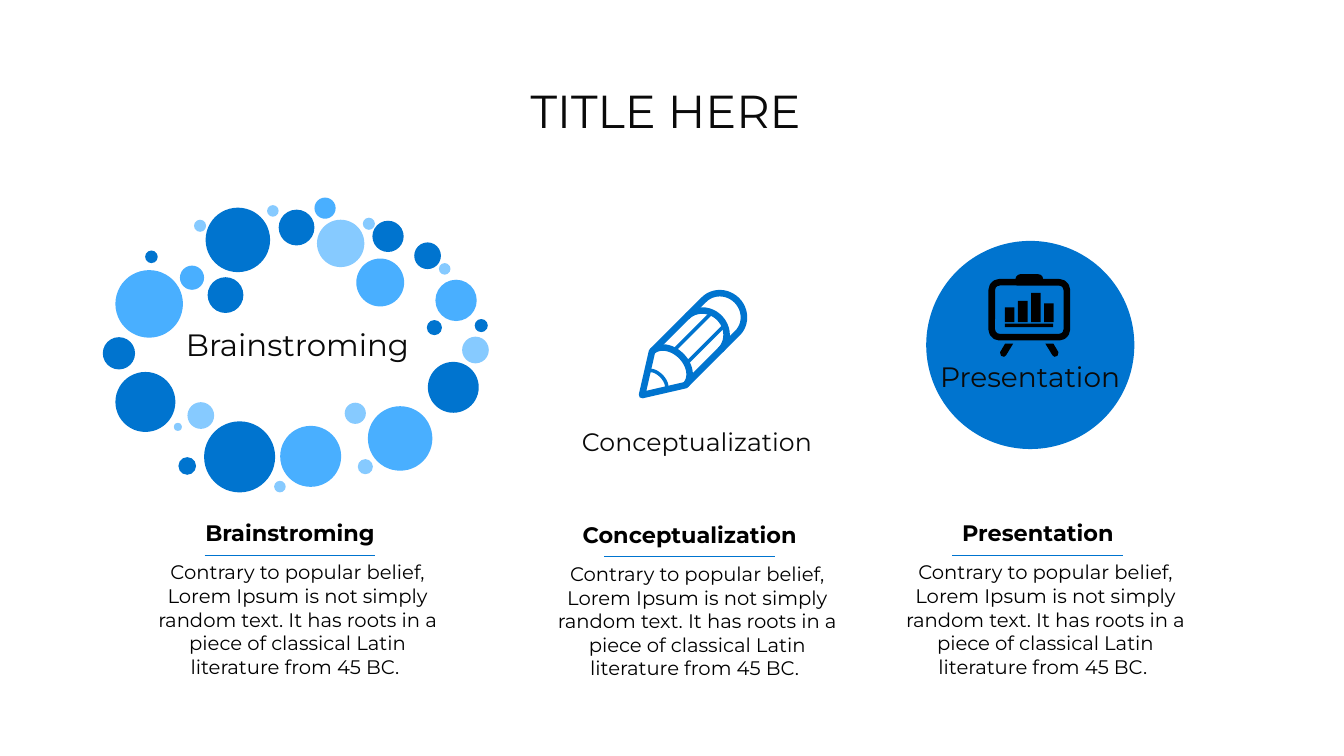
from math import cos, pi, sin, sqrt
from lxml.etree import SubElement
from pptx import Presentation
from pptx.dml.color import RGBColor
from pptx.enum.shapes import MSO_CONNECTOR, MSO_SHAPE
from pptx.enum.text import MSO_ANCHOR, MSO_AUTO_SIZE, PP_ALIGN
from pptx.oxml.ns import qn
from pptx.util import Pt

PX = 9144  # 100 px to the inch
FONT = "Montserrat"
BLUE = RGBColor(0x00, 0x74, 0xCF)
SKY = RGBColor(0x49, 0xAF, 0xFF)
PALE = RGBColor(0x86, 0xCA, 0xFF)
BLACK = RGBColor(0, 0, 0)
INK = RGBColor(0x0A, 0x0A, 0x0A)

BODY = ("Contrary to popular belief, Lorem Ipsum is not simply random text. "
        "It has roots in a piece of classical Latin literature from 45 BC. ")
COLUMNS = [("Brainstroming", 284, 1107), ("Conceptualization", 1077, 1110),
           ("Presentation", 1768, 1107)]

# Left, top and diameter of each bubble
BUBBLES = {
    BLUE: [(204, 669, 64), (229, 738, 119), (405, 836, 141), (354, 907, 35),
           (408, 412, 128), (288, 497, 25), (942, 633, 26), (553, 416, 71),
           (739, 438, 62), (822, 481, 53), (847, 635, 30), (849, 718, 101),
           (412, 550, 71)],
    SKY: [(229, 536, 134), (357, 527, 48), (730, 806, 128), (864, 555, 82),
          (556, 845, 121), (624, 392, 42), (707, 513, 95)],
    PALE: [(345, 839, 16), (385, 436, 24), (917, 668, 53), (530, 407, 23),
           (720, 432, 24), (871, 522, 23), (544, 954, 23), (710, 911, 30),
           (629, 436, 94), (372, 798, 53), (684, 799, 42)],
}


def arc(start, bulge, half):
    """Half an ellipse across the pencil, as (along, across) points."""
    turns = [pi * (i / 24 - 0.5) for i in range(25)]
    return [(start + bulge * cos(t), half * sin(t)) for t in turns]


def tilt(points):
    """Place (along, across) points on the pencil, which leans by 45 degrees."""
    return [(1274 + (a + b) / sqrt(2), 784 + (b - a) / sqrt(2)) for a, b in points]


class Canvas:
    def __init__(self, slide):
        self.slide = slide
        self.shapes = slide.shapes

    def group(self):
        self.shapes = self.slide.shapes.add_group_shape().shapes

    def ungroup(self):
        self.shapes = self.slide.shapes

    def paint(self, shape, color, weight=0):
        """Fill the shape, or only outline it when a weight is given."""
        shape.shadow.inherit = False
        if weight:
            shape.fill.background()
            shape.line.color.rgb = color
            shape.line.width = weight * PX
        else:
            shape.fill.solid()
            shape.fill.fore_color.rgb = color
            shape.line.fill.background()

    def style(self, frame, text, size, color, bold=False):
        frame.text = text
        frame.word_wrap = True
        para = frame.paragraphs[0]
        para.alignment = PP_ALIGN.CENTER
        font = para.runs[0].font
        font.name, font.size, font.bold = FONT, Pt(size), bold
        font.color.rgb = color

    def title(self, text, *box):
        head = self.slide.shapes.title
        head.left, head.top, head.width, head.height = (n * PX for n in box)
        self.style(head.text_frame, text, 66, INK)
        head.text_frame.vertical_anchor = MSO_ANCHOR.MIDDLE
        head.text_frame.paragraphs[0].line_spacing = 0.9

    def text(self, text, box, size, color=INK, bold=False):
        frame = self.shapes.add_textbox(*(n * PX for n in box)).text_frame
        self.style(frame, text, size, color, bold)
        frame.auto_size = MSO_AUTO_SIZE.SHAPE_TO_FIT_TEXT

    def shape(self, kind, box, color, weight=0):
        shape = self.shapes.add_shape(kind, *(n * PX for n in box))
        self.paint(shape, color, weight)
        return shape

    def circle(self, x, y, size, color):
        self.shape(MSO_SHAPE.OVAL, (x, y, size, size), color)

    def line(self, start, end, color, weight):
        ends = [round(n * PX) for n in (*start, *end)]
        line = self.shapes.add_connector(MSO_CONNECTOR.STRAIGHT, *ends)
        line.line.color.rgb = color
        line.line.width = weight * PX
        SubElement(line._element.spPr, qn("a:effectLst"))

    def form(self, points, color, weight=0, close=True):
        first, *rest = [(round(x * PX), round(y * PX)) for x, y in points]
        pen = self.shapes.build_freeform(*first, scale=1.0)
        pen.add_line_segments(rest, close=close)
        self.paint(pen.convert_to_shape(), color, weight)


def pencil(page):
    page.group()
    page.form(tilt([(0, 0), *arc(75, 0, 47)[::24], *arc(221, 45, 47)[::-1]][:2]
                   + arc(221, 45, 47) + [(75, 47)]), BLUE, 13)
    for start, bulge, half, weight in ((173, 44, 47, 13), (75, 35, 47, 13),
                                       (41, 13, 25, 7)):
        page.form(tilt(arc(start, bulge, half)), BLUE, weight, close=False)
    for side in (-18, 18):
        page.line(*tilt([(110, side), (210, side)]), BLUE, 7)
    page.ungroup()


def board(page):
    frame = page.shape(MSO_SHAPE.ROUNDED_RECTANGLE, (1968, 560, 149, 109), BLACK, 13)
    frame.adjustments[0] = 0.14
    tab = page.shape(MSO_SHAPE.ROUNDED_RECTANGLE, (2015, 544, 55, 20), BLACK)
    tab.adjustments[0] = 0.5
    page.shape(MSO_SHAPE.RECTANGLE, (1994, 642, 96, 7), BLACK)
    for i, tall in enumerate((29, 42, 58, 37)):
        page.shape(MSO_SHAPE.RECTANGLE, (1994 + 26 * i, 639 - tall, 19, tall), BLACK)
    for side in (-1, 1):
        leg = [(32, 682), (48, 682), (58, 699), (56, 706), (50, 708), (46, 705)]
        page.form([(2042.5 + side * x, y) for x, y in leg], BLACK)


def main():
    deck = Presentation()
    deck.slide_width, deck.slide_height = 2667 * PX, 1500 * PX
    page = Canvas(deck.slides.add_slide(deck.slide_layouts[5]))
    page.title("TITLE HERE ", 183, 80, 2300, 290)

    for name, x, y in COLUMNS:
        page.group()
        page.text(BODY, (x, y, 613, 246), 28, BLACK)
        page.text(name, (x + 66, y - 81, 451, 64), 32, BLACK, bold=True)
        page.line((x + 122, y - 5), (x + 460, y - 5), BLUE, 2)
    page.ungroup()

    for color, spots in BUBBLES.items():
        for spot in spots:
            page.circle(*spot, color)
    page.text("Brainstroming", (352, 641, 477, 84), 44)

    pencil(page)
    page.text("Conceptualization", (1126, 840, 514, 71), 36)

    page.group()
    page.circle(1838, 478, 413, BLUE)
    page.text("Presentation", (1787, 709, 514, 77), 40)
    board(page)

    deck.save("out.pptx")


if __name__ == "__main__":
    main()
